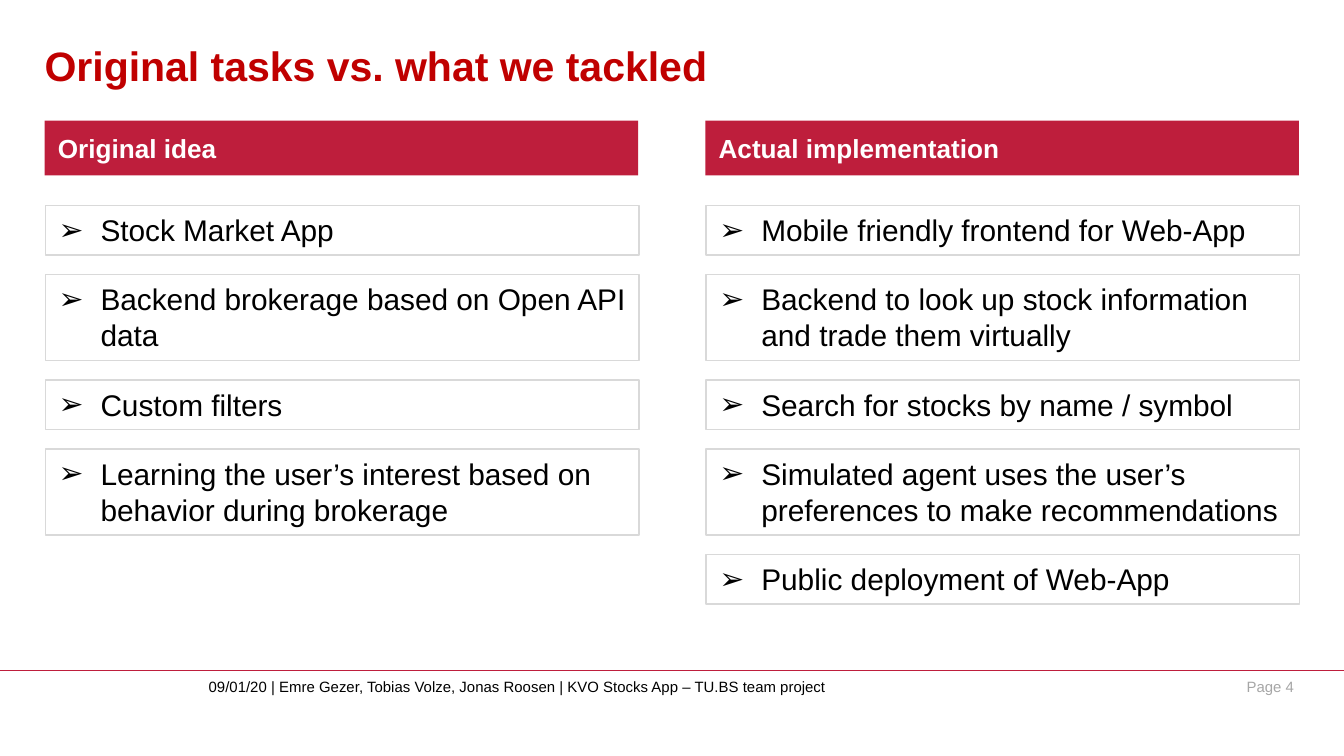
from lxml.etree import SubElement
from pptx import Presentation
from pptx.dml.color import RGBColor
from pptx.enum.shapes import MSO_CONNECTOR, MSO_SHAPE
from pptx.enum.text import MSO_ANCHOR, MSO_AUTO_SIZE, PP_ALIGN
from pptx.oxml.ns import qn
from pptx.util import Pt

CRIMSON = RGBColor(0xBE, 0x1E, 0x3C)
TITLE_RED = RGBColor(0xC0, 0x00, 0x00)
BORDER_GREY = RGBColor(0xD9, 0xD9, 0xD9)
PAGE_GREY = RGBColor(0xA6, 0xA6, 0xA6)
BLACK = RGBColor(0, 0, 0)
WHITE = RGBColor(0xFF, 0xFF, 0xFF)

PAGE_WIDTH, PAGE_HEIGHT = 720, 405
COLUMN_LEFT, COLUMN_STEP, COLUMN_WIDTH = 23.9, 354, 318
HEADER_TOP, HEADER_HEIGHT = 64.7, 29.3
ROW_TOP, ROW_GAP = 110.1, 10.4
ROW_HEIGHTS = [26.6, 46.1, 26.6, 46.1, 26.6]
HANGING = 22.5
FOOTER_TOP, FOOTER_HEIGHT = 363, 19

COLUMNS = [
    ("Original idea", [
        "Stock Market App",
        "Backend brokerage based on Open API data",
        "Custom filters",
        "Learning the user’s interest based on behavior during brokerage",
    ]),
    ("Actual implementation", [
        "Mobile friendly frontend for Web-App",
        "Backend to look up stock information and trade them virtually",
        "Search for stocks by name / symbol",
        "Simulated agent uses the user’s preferences to make recommendations",
        "Public deployment of Web-App",
    ]),
]


def add_run(para, text, size, color, bold=False):
    span = para.add_run()
    span.text = text
    span.font.name = "Arial"
    span.font.size = Pt(size)
    span.font.bold = bold
    span.font.color.rgb = color


def add_label(page, area, text, size, color, bold=False,
              align=PP_ALIGN.LEFT, anchor=MSO_ANCHOR.TOP):
    box = page.shapes.add_textbox(*map(Pt, area))
    frame = box.text_frame
    frame.word_wrap = True
    frame.vertical_anchor = anchor
    frame.margin_left = frame.margin_right = 0
    frame.margin_top = frame.margin_bottom = 0
    para = frame.paragraphs[0]
    para.alignment = align
    add_run(para, text, size, color, bold)


def add_rectangle(page, left, top, height):
    box = page.shapes.add_shape(MSO_SHAPE.RECTANGLE, Pt(left), Pt(top),
                                Pt(COLUMN_WIDTH), Pt(height))
    box.shadow.inherit = False
    box.text_frame.paragraphs[0].alignment = PP_ALIGN.LEFT
    return box


def add_header(page, left, text):
    box = add_rectangle(page, left, HEADER_TOP, HEADER_HEIGHT)
    box.fill.solid()
    box.fill.fore_color.rgb = CRIMSON
    box.line.fill.background()
    box.text_frame.word_wrap = False
    box.text_frame.vertical_anchor = MSO_ANCHOR.MIDDLE
    add_run(box.text_frame.paragraphs[0], text, 14, WHITE, bold=True)


def add_bullet(para, symbol):
    properties = para._p.get_or_add_pPr()
    properties.set("marL", str(Pt(HANGING)))
    properties.set("indent", str(-Pt(HANGING)))
    SubElement(properties, qn("a:buFont")).set("typeface", "Arial")
    SubElement(properties, qn("a:buChar")).set("char", symbol)


def add_item(page, left, top, height, text):
    box = add_rectangle(page, left, top, height)
    box.fill.background()
    box.line.color.rgb = BORDER_GREY
    box.line.width = Pt(0.75)
    frame = box.text_frame
    frame.word_wrap = True
    frame.auto_size = MSO_AUTO_SIZE.SHAPE_TO_FIT_TEXT
    frame.vertical_anchor = MSO_ANCHOR.TOP
    add_bullet(frame.paragraphs[0], "➢")
    add_run(frame.paragraphs[0], text, 16, BLACK)


def add_column(page, left, heading, items):
    add_header(page, left, heading)
    top = ROW_TOP
    for text, height in zip(items, ROW_HEIGHTS):
        add_item(page, left + 0.4, top, height, text)
        top += height + ROW_GAP


def add_footer(page):
    rule = page.shapes.add_connector(MSO_CONNECTOR.STRAIGHT, Pt(0), Pt(359.2),
                                     Pt(PAGE_WIDTH), Pt(359.2))
    rule.line.color.rgb = CRIMSON
    rule.line.width = Pt(0.75)
    SubElement(rule._element.spPr, qn("a:effectLst"))
    add_label(page, (111.8, FOOTER_TOP, 350.6, FOOTER_HEIGHT),
              "09/01/20 | Emre Gezer, Tobias Volze, Jonas Roosen | "
              "KVO Stocks App – TU.BS team project", 8, BLACK)
    add_label(page, (643.3, FOOTER_TOP, 50, FOOTER_HEIGHT), "Page 4", 8,
              PAGE_GREY, align=PP_ALIGN.RIGHT)


def main():
    deck = Presentation()
    deck.slide_width, deck.slide_height = Pt(PAGE_WIDTH), Pt(PAGE_HEIGHT)
    page = deck.slides.add_slide(deck.slide_layouts[6])

    # Footer and title
    add_footer(page)
    add_label(page, (COLUMN_LEFT, 6.5, 659.5, 41.8),
              "Original tasks vs. what we tackled", 22, TITLE_RED,
              bold=True, anchor=MSO_ANCHOR.BOTTOM)

    # Comparison columns
    for index, (heading, items) in enumerate(COLUMNS):
        add_column(page, COLUMN_LEFT + index * COLUMN_STEP, heading, items)

    deck.save("out.pptx")


if __name__ == "__main__":
    main()
